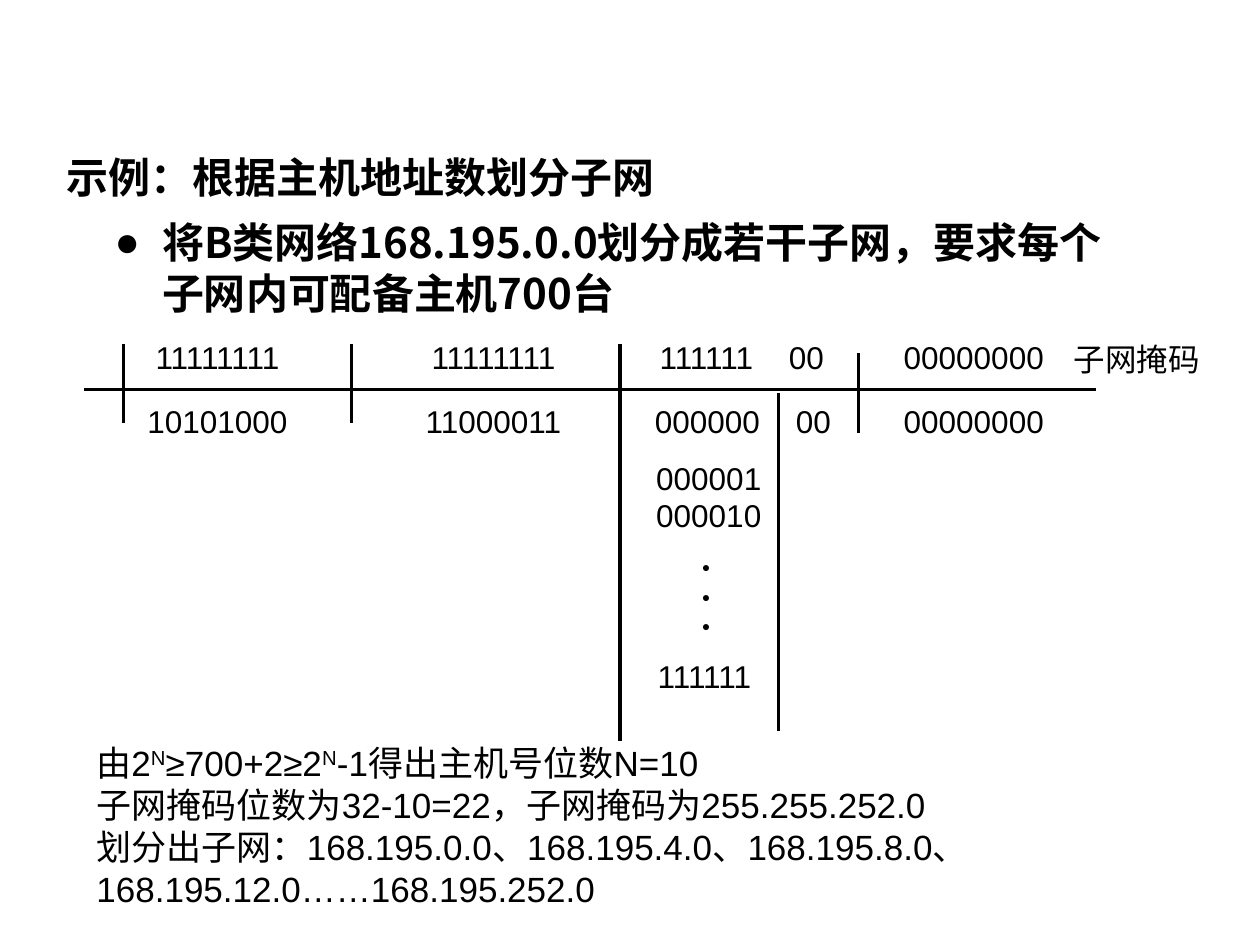
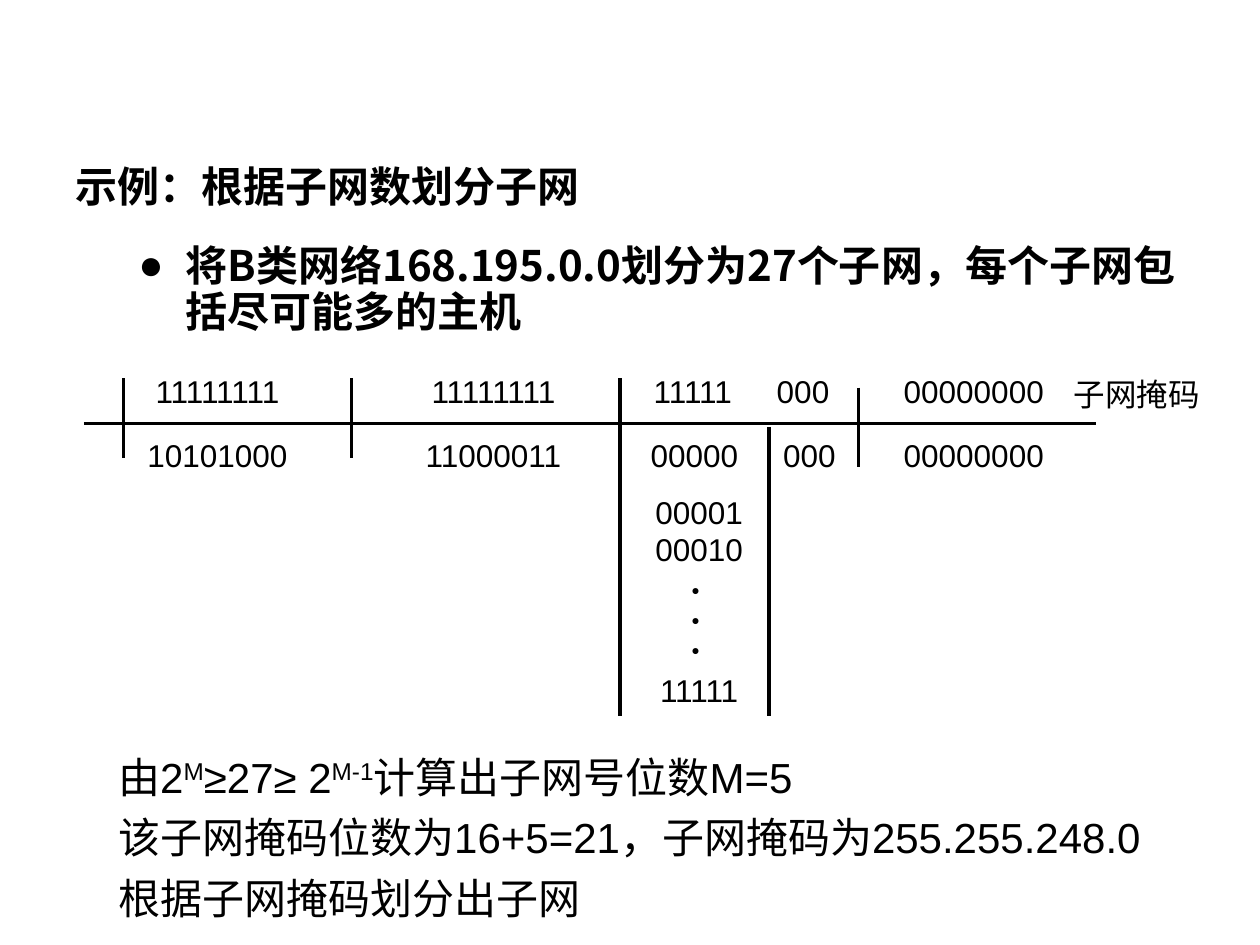
from lxml import etree
from pptx import Presentation
from pptx import util as u
from pptx.dml import color
from pptx.enum import shapes, text
from pptx.oxml import ns

BLACK, WHITE = "000000", "FFFFFF"
BODY_FONT, TITLE_FONT, EAST_ASIAN_FONT = "Arial", "Noto Sans CJK JP", "Noto Sans CJK SC"
TABLE_LEFT, COLUMN_WIDTHS = 42.5, (163.5, 152, 134.5, 128)
AXIS_LEFT, AXIS_RIGHT = 48, 626.5
OCTET_EDGES, LAST_EDGE = (70.5, 201, 354.25), 490.5
DOT_STEP = 17
SIDE_INSET, TOP_INSET = 7.2, 3.6


def rgb(value):
    return color.RGBColor.from_string(value)


def add_element(parent, tag, **attributes):
    return etree.SubElement(parent, ns.qn(tag), attributes)


class SubnetDeck:
    """Hold the deck's style and the current slide."""

    def __init__(self):
        self.presentation = Presentation()
        self.presentation.slide_width = u.Pt(720)
        self.presentation.slide_height = u.Pt(540)
        self.slide = None

    def style(self, paragraph, size, font=BODY_FONT, bold=False):
        for run in paragraph.runs:
            run.font.size = u.Pt(size)
            run.font.name = font
            run.font.bold = bold
            run.font.color.rgb = rgb(BLACK)
            if font != BODY_FONT:
                add_element(run.font._element, "a:ea", typeface=font)

    def start(self, title, left, top):
        self.slide = self.presentation.slides.add_slide(self.presentation.slide_layouts[5])
        shape = self.slide.shapes.title
        shape.left, shape.top, shape.width, shape.height = map(u.Pt, (left, top, 570, 48))
        frame = shape.text_frame
        frame.text = title
        frame.vertical_anchor = text.MSO_ANCHOR.MIDDLE
        frame.paragraphs[0].alignment = text.PP_ALIGN.LEFT
        self.style(frame.paragraphs[0], 24, TITLE_FONT, True)

    def text_box(self, lines, left, top, width, height, size=18, centred=False, wrap=True,
                 pitch=None, gap=0):
        shape = self.slide.shapes.add_textbox(*map(u.Pt, (left, top, width, height)))
        frame = shape.text_frame
        frame.word_wrap = wrap
        for index, line in enumerate(lines):
            paragraph = frame.paragraphs[0] if index == 0 else frame.add_paragraph()
            for position, part in enumerate(line.split("^")):
                run = paragraph.add_run()
                run.text = part
                if position % 2:
                    run.font._element.set("baseline", "30000")
            if centred:
                paragraph.alignment = text.PP_ALIGN.CENTER
            if pitch:
                paragraph.line_spacing = u.Pt(pitch)
            if index and gap:
                paragraph.space_before = u.Pt(gap)
            self.style(paragraph, size)
        return frame

    def bullet(self, line, left, top, width, height, pitch):
        frame = self.text_box([line], left, top, width, height, pitch=pitch)
        paragraph = frame.paragraphs[0]
        properties = paragraph._p.get_or_add_pPr()
        properties.set("marL", str(u.Pt(27)))
        properties.set("indent", str(u.Pt(-27)))
        add_element(properties, "a:buFont", typeface=BODY_FONT)
        add_element(properties, "a:buChar", char="●")
        self.style(paragraph, 24, EAST_ASIAN_FONT, True)

    def line(self, x1, y1, x2, y2):
        connector = self.slide.shapes.add_connector(
            shapes.MSO_CONNECTOR.STRAIGHT, *map(u.Pt, (x1, y1, x2, y2)))
        connector.line.width = u.Pt(2)
        connector.line.color.rgb = rgb(BLACK)
        add_element(connector._element.spPr, "a:effectLst")

    def octets(self, values, top, height, split_inset, split_tab):
        frame = self.slide.shapes.add_table(1, len(values), *map(
            u.Pt, (TABLE_LEFT, top, sum(COLUMN_WIDTHS), height)))
        table = frame.table
        table.first_row = table.horz_banding = False
        for index, value in enumerate(values):
            table.columns[index].width = u.Pt(COLUMN_WIDTHS[index])
            cell = table.cell(0, index)
            cell.fill.solid()
            cell.fill.fore_color.rgb = rgb(WHITE)
            cell.margin_left = cell.margin_right = u.Pt(SIDE_INSET)
            cell.margin_top = cell.margin_bottom = u.Pt(TOP_INSET)
            paragraph = cell.text_frame.paragraphs[0]
            paragraph.text = value
            if "\t" in value:
                cell.margin_left = u.Pt(split_inset)
                cell.margin_right = 0
                tabs = add_element(paragraph._p.get_or_add_pPr(), "a:tabLst")
                add_element(tabs, "a:tab", pos=str(u.Pt(split_tab)), algn="l")
            else:
                paragraph.alignment = text.PP_ALIGN.CENTER
            self.style(paragraph, 18)

    def mask_diagram(self, axis, split_x, bottoms, mask, mask_tabs, address, address_tabs,
                     samples, last, centres, dots, last_top):
        self.octets(["10101000", "11000011", address, "0" * 8], axis + 5, 28.8, *address_tabs)
        self.octets(["1" * 8, "1" * 8, mask, "0" * 8], axis - 31.5, 31.7, *mask_tabs)
        self.line(OCTET_EDGES[-1], axis, OCTET_EDGES[-1], bottoms[0])
        self.line(split_x, axis + 2, split_x, bottoms[1])
        for x in OCTET_EDGES:
            self.line(x, axis - 26, x, axis + 19.5)
        self.line(LAST_EDGE, axis - 20.5, LAST_EDGE, axis + 25)
        self.line(AXIS_LEFT, axis, AXIS_RIGHT, axis)
        self.text_box(samples, centres[0] - 45, axis + 36, 90, 50, centred=True)
        self.text_box([last], centres[1] - 45, last_top, 90, 29, centred=True)
        for step in range(3):
            self.text_box(["●"], dots[0], dots[1] + step * DOT_STEP, 22, 17, 8, wrap=False)
        self.text_box(["子网掩码"], 598.5, axis - 31.5, 102, 29, centred=True)


def main():
    deck = SubnetDeck()
    deck.start("示例：根据主机地址数划分子网", 31, 77)
    deck.mask_diagram(
        222.5, 445, (423.5, 417.5), "111111\t00", (19, 73.8), "000000\t00", (16.2, 80.6),
        ["000001", "000010"], "111111", (405, 402.5), (394, 315.5), 372)
    deck.text_box(
        ["由2^N^≥700+2≥2^N^-1得出主机号位数N=10",
         "子网掩码位数为32-10=22，子网掩码为255.255.252.0",
         "划分出子网：168.195.0.0、168.195.4.0、168.195.8.0、168.195.12.0……168.195.252.0"],
        48, 420, 644, 104, 20, pitch=24)
    deck.bullet("将B类网络168.195.0.0划分成若干子网，要求每个子网内可配备主机700台",
                58.5, 120, 601, 91, 29.2)

    deck.start("示例：根据子网数划分子网", 36, 82)
    deck.mask_diagram(
        242, 439.5, (409, 409), "11111\t000", (15.6, 70.3), "00000\t000", (13.8, 75.7),
        ["00001", "00010"], "11111", (399.5, 399.5), (388, 329), 380)
    deck.text_box(
        ["由2^M^≥27≥ 2^M-1^计算出子网号位数M=5",
         "该子网掩码位数为16+5=21，子网掩码为255.255.248.0",
         "根据子网掩码划分出子网"],
        60.5, 428.5, 634, 111, 24, pitch=26.2, gap=8.3)
    deck.bullet("将B类网络168.195.0.0划分为27个子网，每个子网包括尽可能多的主机",
                72, 136, 607, 73, 26.2)
    deck.presentation.save("out.pptx")


if __name__ == "__main__":
    main()
